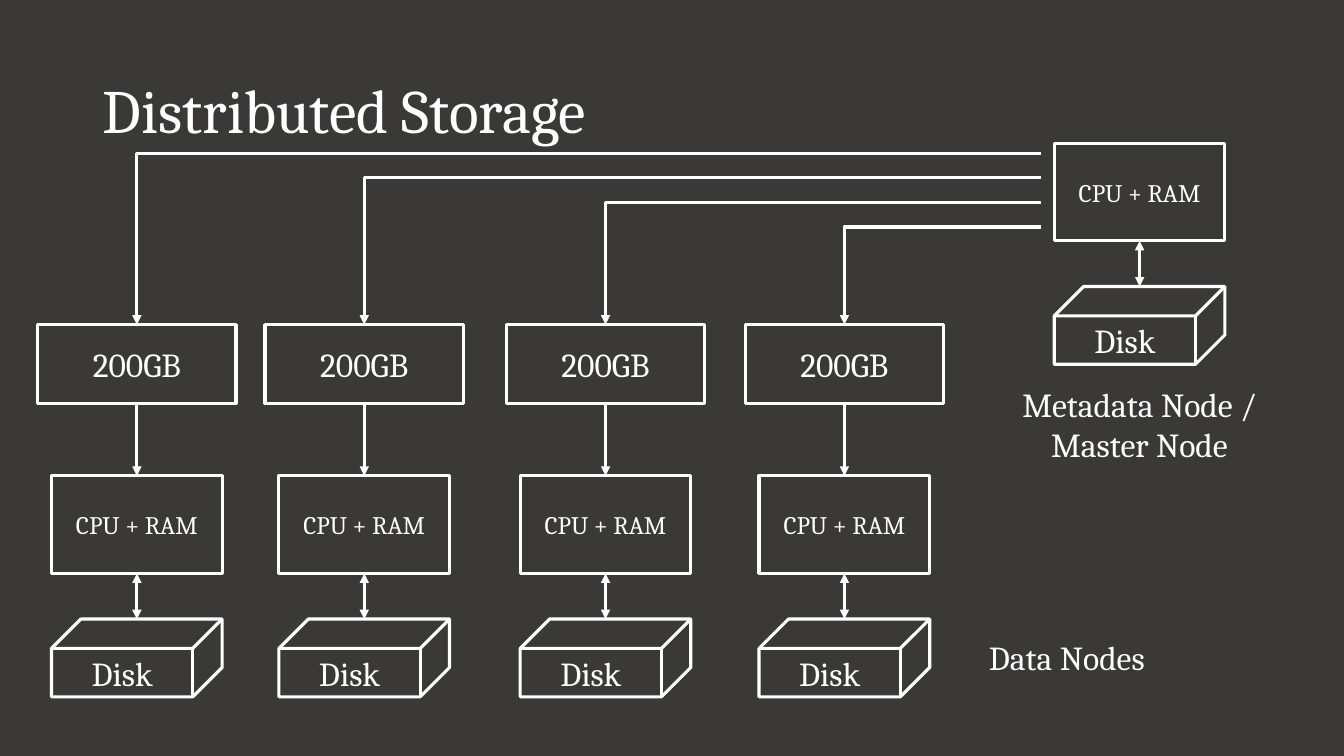
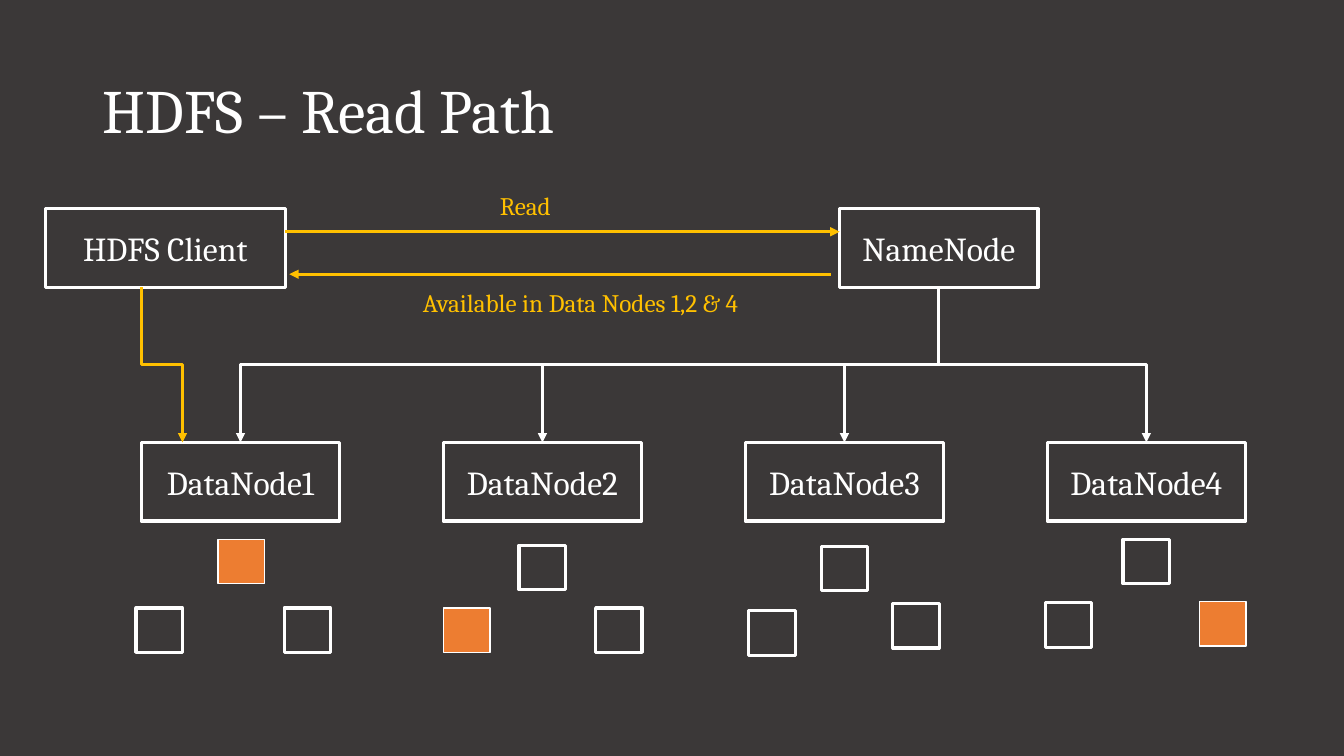
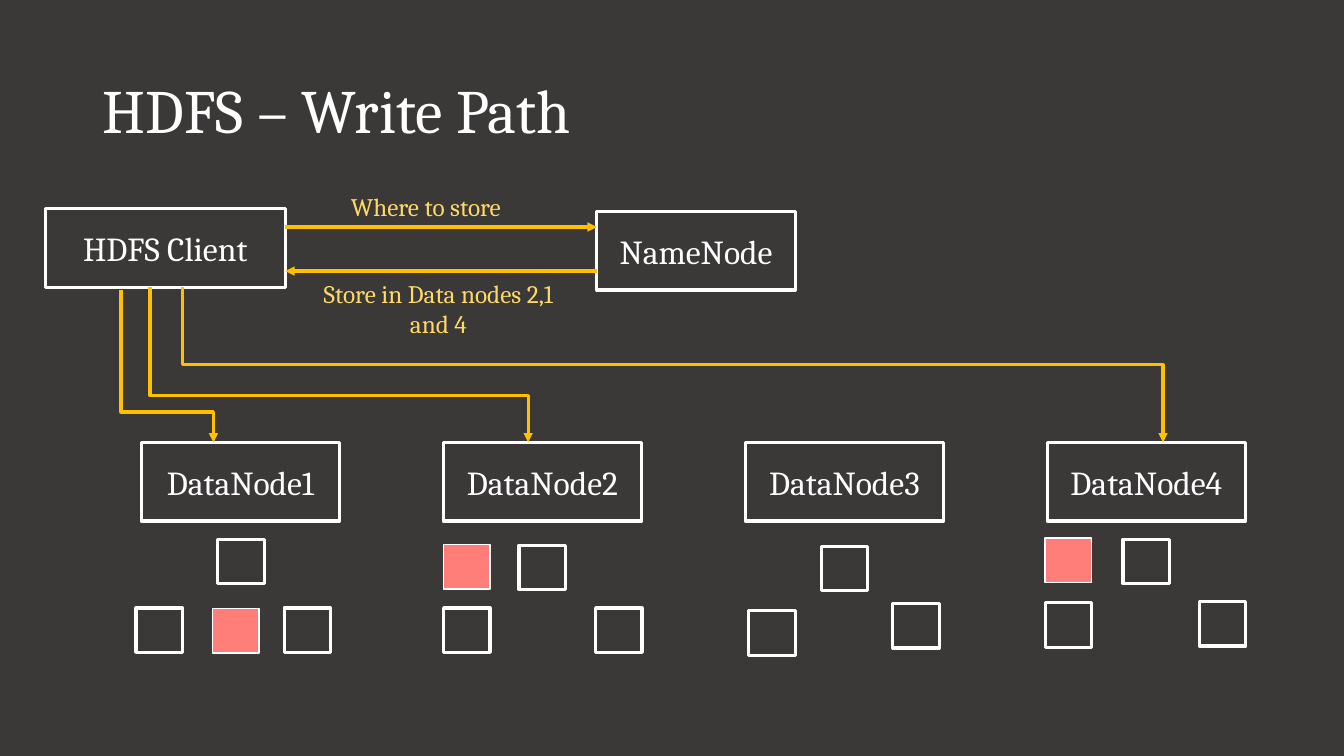
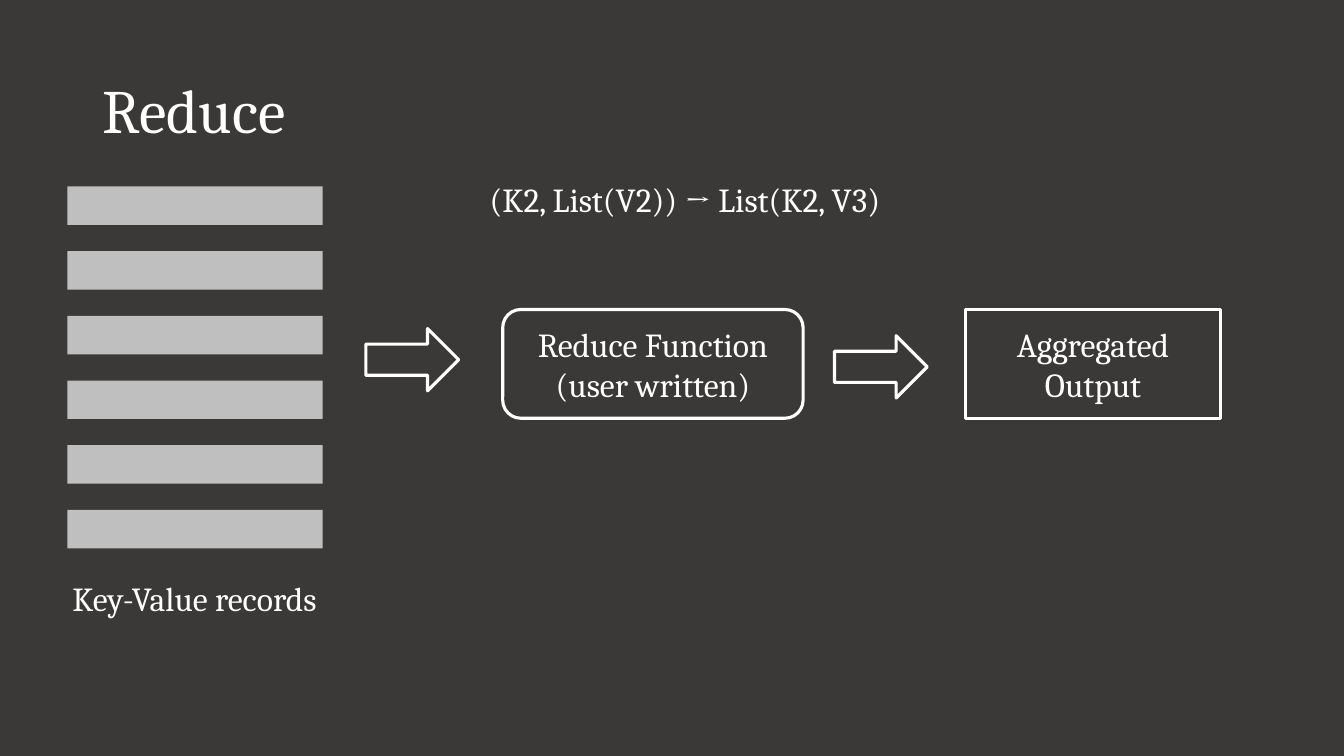
"""Build four slides on distributed storage, HDFS paths and the reduce step."""
import pptx
import pptx.util
import pptx.dml.color
import pptx.enum.shapes
import pptx.enum.text
import pptx.oxml.ns
from lxml import etree

Cm = pptx.util.Cm
Pt = pptx.util.Pt
qn = pptx.oxml.ns.qn
SHAPE = pptx.enum.shapes.MSO_SHAPE
CONNECTOR = pptx.enum.shapes.MSO_CONNECTOR
ALIGN = pptx.enum.text.PP_ALIGN
ANCHOR = pptx.enum.text.MSO_ANCHOR

COLORS = {
    "back": "3B3838",
    "white": "FFFFFF",
    "gold": "FFC000",
    "pale": "FFD966",
    "orange": "ED7D31",
    "red": "FF7E79",
    "gray": "BFBFBF",
}
FONT = "Cambria"
TOP, BOTTOM = 0, 2
BOX_W, BOX_H = 5, 1.98
CPU_W, CPU_H, DISK_H, NODE_STEP = 4.3, 2.46, 1.96, 3.61
BLOCK_W, BLOCK_H = 1.17, 1.12
CLIENT_X, CLIENT_Y, CLIENT_W = 1.14, 5.26, 6.05
CLIENT_RIGHT, CLIENT_BOTTOM = CLIENT_X + CLIENT_W, CLIENT_Y + BOX_H
DATA_X, DATA_Y, DATA_STEP = 3.56, 11.15, 7.61
BLOCKS = [
    (5.49, 13.59), (3.43, 15.32), (7.16, 15.32),
    (13.08, 13.74), (11.18, 15.32), (15.01, 15.32),
    (20.7, 13.77), (18.87, 15.39), (22.5, 15.21),
    (28.3, 13.59), (26.34, 15.19), (30.23, 15.16),
]
READ_BLOCKS = {(5.49, 13.59), (11.18, 15.32), (30.23, 15.16)}
NEW_BLOCKS = [(5.36, 15.34), (11.18, 13.72), (26.34, 13.56)]


def rgb(name):
    return pptx.dml.color.RGBColor.from_string(COLORS[name])


def write(tf, text, size=24, color="white", align=ALIGN.CENTER, anchor=ANCHOR.MIDDLE, spacing=None):
    tf.word_wrap = True
    tf.vertical_anchor = anchor
    tf.text = text
    for p in tf.paragraphs:
        p.alignment = align
        p.line_spacing = spacing
        for r in p.runs:
            r.font.name = FONT
            r.font.size = Pt(size)
            r.font.color.rgb = rgb(color)


class Deck:
    def __init__(self):
        self.prs = pptx.Presentation()
        self.prs.slide_width, self.prs.slide_height = Cm(33.87), Cm(19.05)
        fill = self.prs.slide_master.background.fill
        fill.solid()
        fill.fore_color.rgb = rgb("back")
        self.s = None

    def slide(self, title):
        self.s = self.prs.slides.add_slide(self.prs.slide_layouts[5])
        sp = self.s.shapes.title
        sp.left, sp.top, sp.width, sp.height = Cm(2.34), Cm(1.02), Cm(29.21), Cm(3.68)
        write(sp.text_frame, title, size=44, align=ALIGN.LEFT, spacing=0.9)

    def box(self, x, y, w, h, text="", kind=SHAPE.RECTANGLE, fill=None, line=2.25, size=24):
        sp = self.s.shapes.add_shape(kind, Cm(x), Cm(y), Cm(w), Cm(h))
        sp.shadow.inherit = False
        if fill:
            sp.fill.solid()
            sp.fill.fore_color.rgb = rgb(fill)
        else:
            sp.fill.background()
        if line:
            sp.line.color.rgb = rgb("white")
            sp.line.width = Pt(line)
        else:
            sp.line.fill.background()
        if text:
            write(sp.text_frame, text, size=size)
        return sp

    def label(self, x, y, w, h, text, **style):
        sp = self.s.shapes.add_textbox(Cm(x), Cm(y), Cm(w), Cm(h))
        write(sp.text_frame, text, anchor=ANCHOR.TOP, **style)
        sp.text_frame.auto_size = pptx.enum.text.MSO_AUTO_SIZE.SHAPE_TO_FIT_TEXT

    def arrow(self, x1, y1, x2, y2, color="white", both=False, kind=CONNECTOR.STRAIGHT):
        c = self.s.shapes.add_connector(kind, Cm(x1), Cm(y1), Cm(x2), Cm(y2))
        c.line.color.rgb = rgb(color)
        c.line.width = Pt(2.25)
        spPr = c.element.spPr
        ln = spPr.find(qn("a:ln"))
        for end in ("a:headEnd", "a:tailEnd") if both else ("a:tailEnd",):
            etree.SubElement(ln, qn(end), type="triangle")
        etree.SubElement(spPr, qn("a:effectLst"))
        return c

    def turn(self, c, preset, degrees, flip=None):
        xfrm = c.element.spPr.find(qn("a:xfrm"))
        for name in ("flipH", "flipV"):
            xfrm.attrib.pop(name, None)
        xfrm.set("rot", str(degrees * 60000))
        if flip:
            xfrm.set(flip, "1")
        geom = c.element.spPr.find(qn("a:prstGeom"))
        geom.set("prst", preset)
        return geom

    def corner(self, x1, y1, x2, y2):
        c = self.arrow(x1, y1, x2, y2, kind=CONNECTOR.ELBOW)
        self.turn(c, "bentConnector2", 180, "flipV")

    def elbow(self, x1, y1, x2, y2, color="white", bend=0.5):
        c = self.arrow(x1, y1, x2, y2, color, kind=CONNECTOR.ELBOW)
        w, h = y2 - y1, abs(x2 - x1)
        c.left, c.top = Cm((x1 + x2 - w) / 2), Cm((y1 + y2 - h) / 2)
        c.width, c.height = Cm(w), Cm(h)
        turn = (270, "flipH") if x2 > x1 else (90,)
        geom = self.turn(c, "bentConnector3", *turn)
        etree.SubElement(geom.find(qn("a:avLst")), qn("a:gd"), name="adj1", fmla=f"val {round(bend * 100000)}")

    def node(self, cx, y):
        x = cx - CPU_W / 2
        cpu = self.box(x, y, CPU_W, CPU_H, "CPU + RAM", size=18)
        disk = self.box(x, y + NODE_STEP, CPU_W, DISK_H, "Disk", kind=SHAPE.CUBE)
        disk.adjustments[0] = 0.378
        c = self.arrow(cx, y + CPU_H, cx, y + NODE_STEP, both=True)
        c.begin_connect(cpu, BOTTOM)
        return cpu

    def block(self, x, y, fill=None):
        self.box(x, y, BLOCK_W, BLOCK_H, fill=fill, line=1 if fill else 2.25)

    def cluster(self, name_x, name_y, filled=()):
        self.box(name_x, name_y, BOX_W, BOX_H, "NameNode")
        self.box(CLIENT_X, CLIENT_Y, CLIENT_W, BOX_H, "HDFS Client")
        for i in range(4):
            self.box(DATA_X + i * DATA_STEP, DATA_Y, BOX_W, BOX_H, f"DataNode{i + 1}")
        for spot in BLOCKS:
            self.block(*spot, fill="orange" if spot in filled else None)


def storage_slide(d):
    d.slide("Distributed Storage")
    for i, cx in enumerate((3.45, 9.18, 15.26, 21.28)):
        cpu = d.node(cx, 11.99)
        store = d.box(cx - BOX_W / 2, 8.18, BOX_W, BOX_H, "200GB")
        c = d.arrow(cx, 8.18 + BOX_H, cx, 11.99)
        c.begin_connect(store, BOTTOM)
        c.end_connect(cpu, TOP)
        d.corner(26.24, 3.86 + i * 0.62, cx, 8.18)
    d.node(28.72, 3.61)
    d.label(25.25, 9.55, 6.93, 2.31, "Metadata Node / Master Node")
    d.label(23.42, 15.93, 6.93, 1.27, "Data Nodes")


def read_slide(d):
    d.slide("HDFS – Read Path")
    name_x = 21.16
    d.cluster(name_x, CLIENT_Y, READ_BLOCKS)
    for i in reversed(range(4)):
        d.elbow(name_x + BOX_W / 2, CLIENT_BOTTOM, DATA_X + i * DATA_STEP + BOX_W / 2, DATA_Y)
    d.arrow(CLIENT_RIGHT, 5.84, name_x, 5.84, "gold")
    d.label(11.46, 4.67, 3.56, 1.02, "Read", size=18, color="gold")
    d.arrow(20.93, 6.91, 7.29, 6.91, "gold")
    d.label(8.56, 7.11, 12.14, 1.02, "Available in Data Nodes 1,2 & 4", size=18, color="gold")
    d.elbow(3.56, CLIENT_BOTTOM, 4.6, DATA_Y, "gold")


def write_slide(d):
    d.slide("HDFS – Write Path")
    name_x = 15.04
    d.cluster(name_x, 5.33)
    d.arrow(CLIENT_RIGHT, 5.72, name_x, 5.72, "gold")
    d.label(7.7, 4.7, 6.07, 1.02, "Where to store", size=18, color="pale")
    d.arrow(name_x, 6.83, CLIENT_RIGHT, 6.83, "gold")
    d.label(7.57, 6.88, 6.96, 1.8, "Store in Data nodes 2,1 and 4", size=18, color="pale")
    for spot in NEW_BLOCKS:
        d.block(*spot, fill="red")
    for x1, y1, x2, bend in (
        (3.78, CLIENT_BOTTOM, 13.31, 0.7),
        (3.05, 7.32, 5.38, 0.8),
        (4.6, CLIENT_BOTTOM, 29.31, 0.5),
    ):
        d.elbow(x1, y1, x2, DATA_Y, "gold", bend)


def reduce_slide(d):
    d.slide("Reduce")
    for i in range(6):
        d.box(1.7, 4.7 + i * 1.63, 6.43, 0.97, fill="gray", line=None)
    d.label(1.19, 14.45, 7.42, 1.27, "Key-Value records")
    d.box(12.67, 7.8, 7.57, 2.74, "Reduce Function\n(user written)", kind=SHAPE.ROUNDED_RECTANGLE)
    d.box(24.33, 7.8, 6.43, 2.74, "Aggregated Output")
    for x, y in ((9.22, 8.28), (21.03, 8.46)):
        d.box(x, y, 2.34, 1.57, kind=SHAPE.RIGHT_ARROW)
    d.label(11.15, 4.39, 12.22, 1.27, "(K2, List(V2)) → List(K2, V3)")


def main():
    d = Deck()
    for build in (storage_slide, read_slide, write_slide, reduce_slide):
        build(d)
    d.prs.save("out.pptx")


if __name__ == "__main__":
    main()
